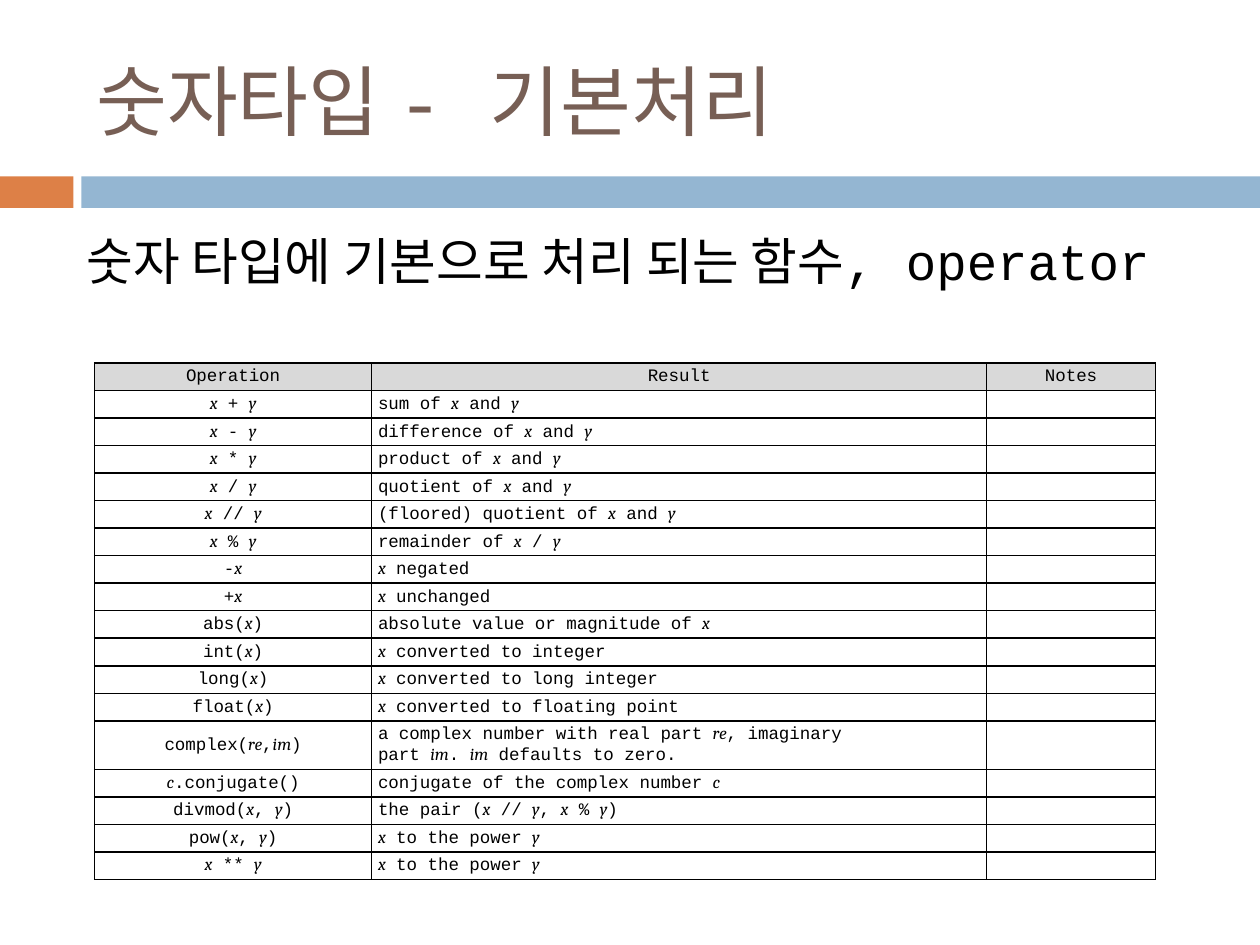
from lxml import etree
from pptx import Presentation
from pptx.dml.color import RGBColor
from pptx.enum import shapes, text
from pptx.oxml.ns import qn
from pptx.util import Pt

# Content: text between underscores is a variable, set in italics
TITLE = "숫자타입 - 기본처리"
LEAD = " 숫자 타입에 기본으로 처리 되는 함수, operator"
HEAD = ("Operation", "Result", "Notes")
ROWS = [
    ("_x_ + _y_", "sum of _x_ and _y_"),
    ("_x_ - _y_", "difference of _x_ and _y_"),
    ("_x_ * _y_", "product of _x_ and _y_"),
    ("_x_ / _y_", "quotient of _x_ and _y_"),
    ("_x_ // _y_", "(floored) quotient of _x_ and _y_"),
    ("_x_ % _y_", "remainder of _x_ / _y_"),
    ("-_x_", "_x_ negated"),
    ("+_x_", "_x_ unchanged"),
    ("abs(_x_)", "absolute value or magnitude of _x_"),
    ("int(_x_)", "_x_ converted to integer"),
    ("long(_x_)", "_x_ converted to long integer"),
    ("float(_x_)", "_x_ converted to floating point"),
    ("complex(_re_,_im_)",
     "a complex number with real part _re_, imaginary part _im_. _im_ defaults to zero."),
    ("_c_.conjugate()", "conjugate of the complex number _c_"),
    ("divmod(_x_, _y_)", "the pair (_x_ // _y_, _x_ % _y_)"),
    ("pow(_x_, _y_)", "_x_ to the power _y_"),
    ("_x_ ** _y_", "_x_ to the power _y_"),
]
COLS = (158.4, 351.4, 96.5)
HEAD_H, ROW_H, TALL_H = 14.9, 15.75, 27.7
TALL = 13  # the row whose result takes two lines
THIN, THICK = 0.6, 1

MONO, SERIF = "Courier New", "Cambria"
BLACK = RGBColor(0, 0, 0)
BROWN = RGBColor(0x77, 0x5F, 0x55)
ORANGE = RGBColor(0xDD, 0x80, 0x47)
BLUE = RGBColor(0x94, 0xB6, 0xD2)
GRAY = RGBColor(0xD9, 0xD9, 0xD9)
NBSP = chr(160)


def add_run(para, words, size, color=BLACK, face=MONO):
    run = para.add_run()
    run.text = words
    font = run.font
    font.name, font.size, font.color.rgb = face, Pt(size), color
    return run


def add_bar(left, width, color):
    bar = slide.shapes.add_shape(shapes.MSO_SHAPE.RECTANGLE,
                                 Pt(left), Pt(100.8), Pt(width), Pt(18))
    bar.shadow.inherit = False
    bar.fill.solid()
    bar.fill.fore_color.rgb = color
    bar.line.fill.background()


def add_label(words, box, size, color, anchor):
    frame = slide.shapes.add_textbox(*map(Pt, box)).text_frame
    frame.word_wrap = True
    frame.vertical_anchor = anchor
    add_run(frame.paragraphs[0], words, size, color)


def add_edges(cell, widths):
    props = cell._tc.get_or_add_tcPr()
    for spot, (side, width) in enumerate(zip("LRTB", widths)):
        line = etree.Element(qn("a:ln" + side), w=str(Pt(width)))
        fill = etree.SubElement(line, qn("a:solidFill"))
        etree.SubElement(fill, qn("a:srgbClr"), val=str(BLACK))
        props.insert(spot, line)


def fill_cell(cell, words):
    para = cell.text_frame.paragraphs[0]
    for turn, part in enumerate(words.split("_")):
        if not part:
            continue
        if turn % 2:
            add_run(para, part, 10, face=SERIF).font.italic = True
            continue
        # Spaces next to a variable do not break
        if part[0] == " ":
            part = NBSP + part[1:]
        if part[-1] == " ":
            part = part[:-1] + NBSP
        add_run(para, part, 10)
    if not words:
        etree.SubElement(para._p, qn("a:endParaRPr"), sz="1000")
    return para


deck = Presentation()
deck.slide_width, deck.slide_height = Pt(720), Pt(540)
slide = deck.slides.add_slide(deck.slide_layouts[6])

# Bars, title and lead line
add_bar(0, 42, ORANGE)
add_bar(46.5, 673.5, BLUE)
add_label(TITLE, (48, 18, 642, 78), 44, BROWN, text.MSO_ANCHOR.MIDDLE)
add_label(LEAD, (36, 128, 648, 93.6), 29, BLACK, text.MSO_ANCHOR.TOP)

# Table of operations
grid = [HEAD] + [row + ("",) for row in ROWS]
tall = [HEAD_H] + [ROW_H] * len(ROWS)
tall[TALL] = TALL_H
table = slide.shapes.add_table(len(grid), len(COLS), Pt(54), Pt(207.5),
                               Pt(sum(COLS)), Pt(sum(tall))).table
table.first_row = table.horz_banding = False
for col, width in zip(table.columns, COLS):
    col.width = Pt(width)

last_r, last_c = len(grid) - 1, len(COLS) - 1
for r, row in enumerate(grid):
    table.rows[r].height = Pt(tall[r])
    for c, words in enumerate(row):
        cell = table.cell(r, c)
        cell.vertical_anchor = text.MSO_ANCHOR.MIDDLE
        cell.margin_left = cell.margin_right = Pt(3.6)
        cell.margin_top = cell.margin_bottom = Pt(1.8)
        if r == 0:
            cell.fill.solid()
            cell.fill.fore_color.rgb = GRAY
        else:
            cell.fill.background()
        para = fill_cell(cell, words)
        if r == 0 or c == 0:
            para.alignment = text.PP_ALIGN.CENTER
        add_edges(cell, (THICK if c == 0 else THIN,
                         THICK if c == last_c else THIN,
                         THICK,
                         THIN if r == last_r else THICK))

deck.save("out.pptx")
